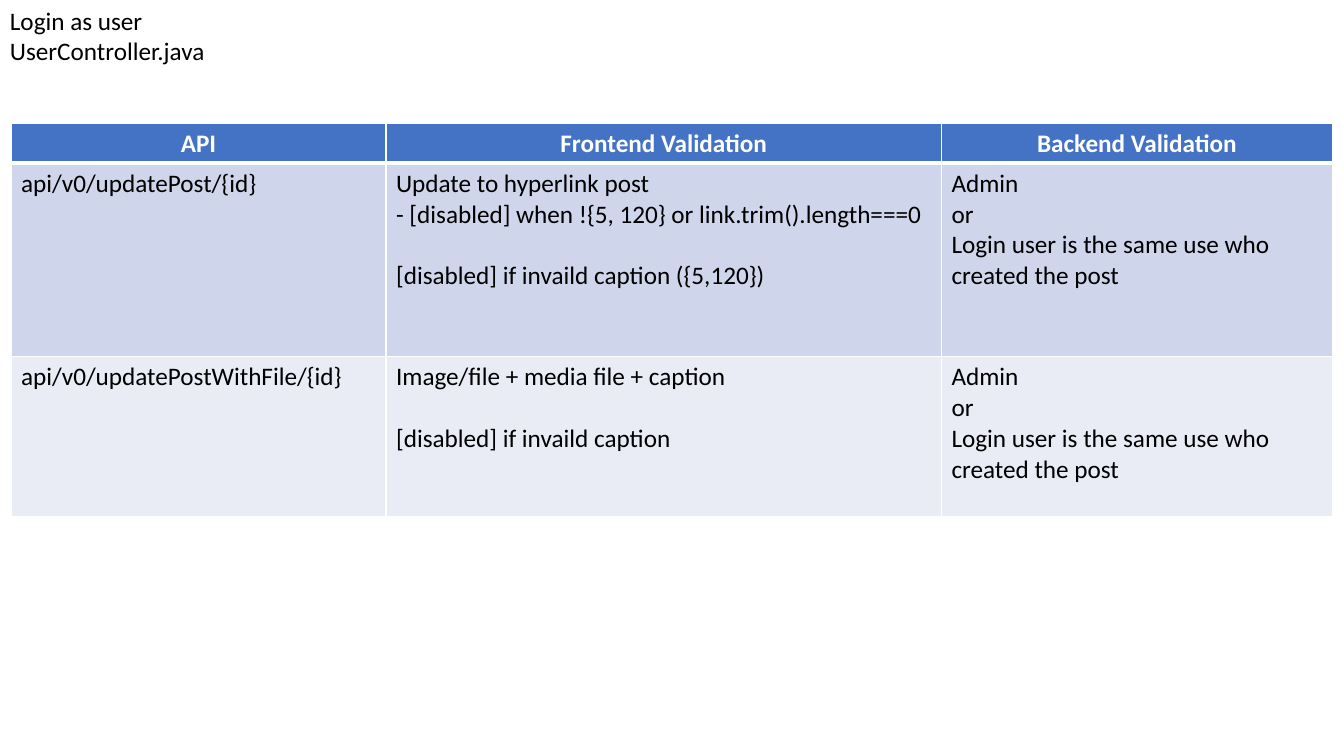
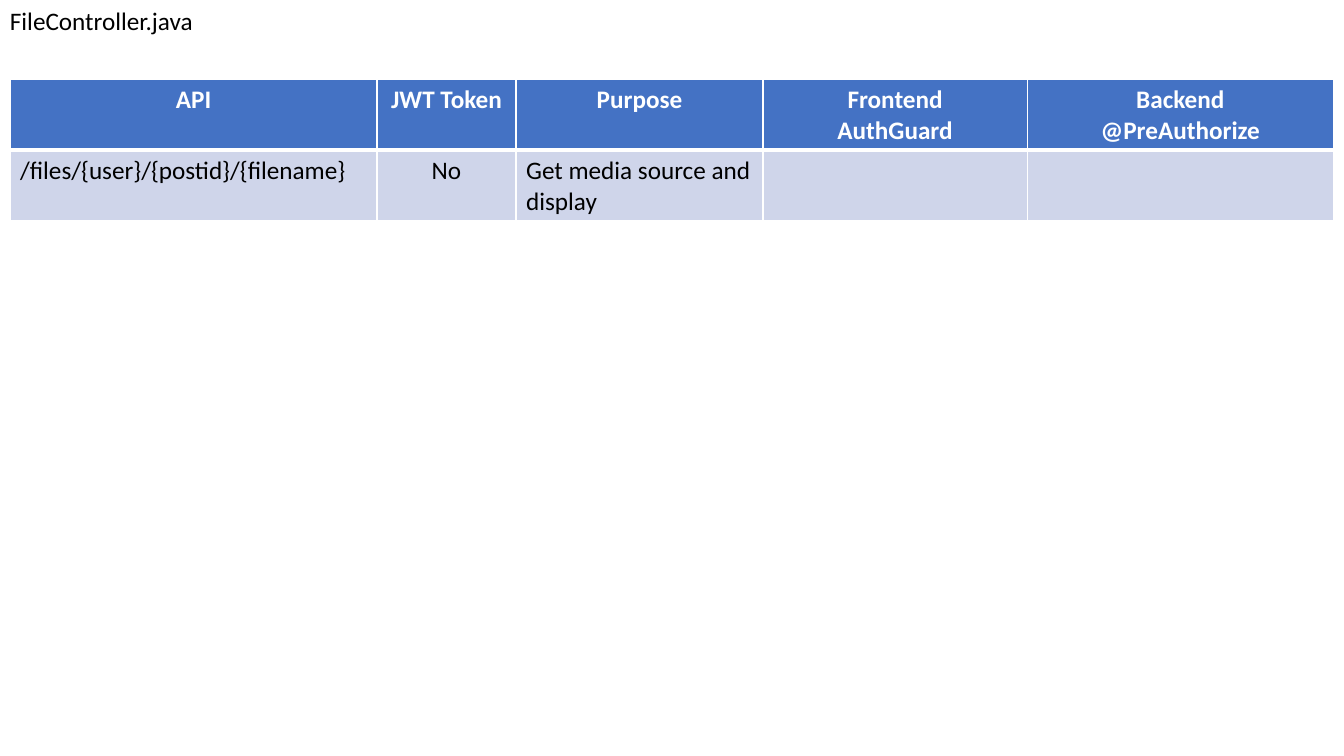
from dataclasses import dataclass

from lxml import etree
from pptx import Presentation, util as u
from pptx.dml.color import RGBColor
from pptx.enum import text
from pptx.oxml.ns import qn
from pptx.slide import Slide
from pptx.table import _Cell
from pptx.text.text import TextFrame

WIDTH, HEIGHT = u.Inches(13.333), u.Inches(7.5)
BLACK = RGBColor(0x00, 0x00, 0x00)
WHITE = RGBColor(0xFF, 0xFF, 0xFF)
HEADER_BLUE = RGBColor(0x44, 0x72, 0xC4)
BANDS = (RGBColor(0xCF, 0xD5, 0xEA), RGBColor(0xE9, 0xEB, 0xF5))
FONT = "Calibri"
SIZE = u.Pt(18)
LINE_GAP = u.Pt(22)
THIN, THICK = u.Pt(1), u.Pt(3)
LEFT, CENTER = text.PP_ALIGN.LEFT, text.PP_ALIGN.CENTER


@dataclass(frozen=True)
class ApiPage:
    heading: str
    heading_height: float
    left: float
    top: float
    columns: tuple[float, ...]
    rows: tuple[float, ...]
    cells: tuple[tuple[str, ...], ...]
    centered: tuple[int, ...] = ()


OWNER_RULE = "Admin\nor\nLogin user is the same use who created the post"
PAGES = (
    ApiPage(
        heading="Login as user\nUserController.java",
        heading_height=9.43,
        left=0.82,
        top=16.27,
        columns=(27.9, 41.33, 29.1),
        rows=(4.93, 25.6, 21.07),
        cells=(
            ("API", "Frontend Validation", "Backend Validation"),
            (
                "api/v0/updatePost/{id}",
                "Update to hyperlink post\n"
                "- [disabled] when !{5, 120} or link.trim().length===0\n\n"
                "[disabled] if invaild caption ({5,120})",
                OWNER_RULE,
            ),
            (
                "api/v0/updatePostWithFile/{id}",
                "Image/file + media file + caption\n\n[disabled] if invaild caption",
                OWNER_RULE,
            ),
        ),
    ),
    ApiPage(
        heading="FileController.java",
        heading_height=5.33,
        left=0.75,
        top=10.53,
        columns=(27.3, 10.35, 18.38, 19.65, 22.8),
        rows=(9.33, 9.33),
        cells=(
            ("API", "JWT Token", "Purpose", "Frontend\nAuthGuard", "Backend\n@PreAuthorize"),
            ("/files/{user}/{postid}/{filename}", "No", "Get media source and display", "", ""),
        ),
        centered=(1,),
    ),
)


def across(percent: float) -> int:
    return round(WIDTH * percent / 100)


def down(percent: float) -> int:
    return round(HEIGHT * percent / 100)


def write(frame: TextFrame, words: str, *, color: RGBColor = BLACK,
          bold: bool = False, align: text.PP_ALIGN = LEFT) -> None:
    frame.word_wrap = True
    paragraph = frame.paragraphs[0]
    paragraph.font.size = SIZE
    for block_number, block in enumerate(words.split("\n\n")):
        for line_number, line in enumerate(block.split("\n")):
            if block_number or line_number:
                paragraph = frame.add_paragraph()
            if block_number and not line_number:
                paragraph.space_before = LINE_GAP
            paragraph.alignment = align
            if line:
                run = paragraph.add_run()
                run.text = line
                run.font.name, run.font.size = FONT, SIZE
                run.font.bold, run.font.color.rgb = bold, color


def draw_borders(cell: _Cell, top: int, bottom: int) -> None:
    properties = cell._tc.get_or_add_tcPr()
    edges = (("a:lnL", THIN), ("a:lnR", THIN), ("a:lnT", top), ("a:lnB", bottom))
    for position, (edge, weight) in enumerate(edges):
        border = etree.Element(qn(edge), w=str(int(weight)))
        fill = etree.SubElement(border, qn("a:solidFill"))
        etree.SubElement(fill, qn("a:srgbClr"), val=str(WHITE))
        properties.insert(position, border)


def draw_heading(slide: Slide, page: ApiPage) -> None:
    heading = slide.shapes.add_textbox(0, 0, across(50), down(page.heading_height))
    write(heading.text_frame, page.heading)
    heading.text_frame.auto_size = text.MSO_AUTO_SIZE.SHAPE_TO_FIT_TEXT


def draw_api_table(slide: Slide, page: ApiPage) -> None:
    table = slide.shapes.add_table(
        len(page.rows), len(page.columns), across(page.left), down(page.top),
        across(sum(page.columns)), down(sum(page.rows)),
    ).table
    for column, share in zip(table.columns, page.columns):
        column.width = across(share)
    for row, share in zip(table.rows, page.rows):
        row.height = down(share)
    for row_number, entries in enumerate(page.cells):
        header = row_number == 0
        for column_number, entry in enumerate(entries):
            cell = table.cell(row_number, column_number)
            cell.fill.solid()
            cell.fill.fore_color.rgb = (
                HEADER_BLUE if header else BANDS[(row_number - 1) % len(BANDS)]
            )
            draw_borders(cell, top=THICK if row_number == 1 else THIN,
                         bottom=THICK if header else THIN)
            write(cell.text_frame, entry, color=WHITE if header else BLACK, bold=header,
                  align=CENTER if header or column_number in page.centered else LEFT)


def main() -> None:
    deck = Presentation()
    deck.slide_width, deck.slide_height = WIDTH, HEIGHT
    for page in PAGES:
        slide = deck.slides.add_slide(deck.slide_layouts[6])
        draw_heading(slide, page)
        draw_api_table(slide, page)
    deck.save("out.pptx")


main()
